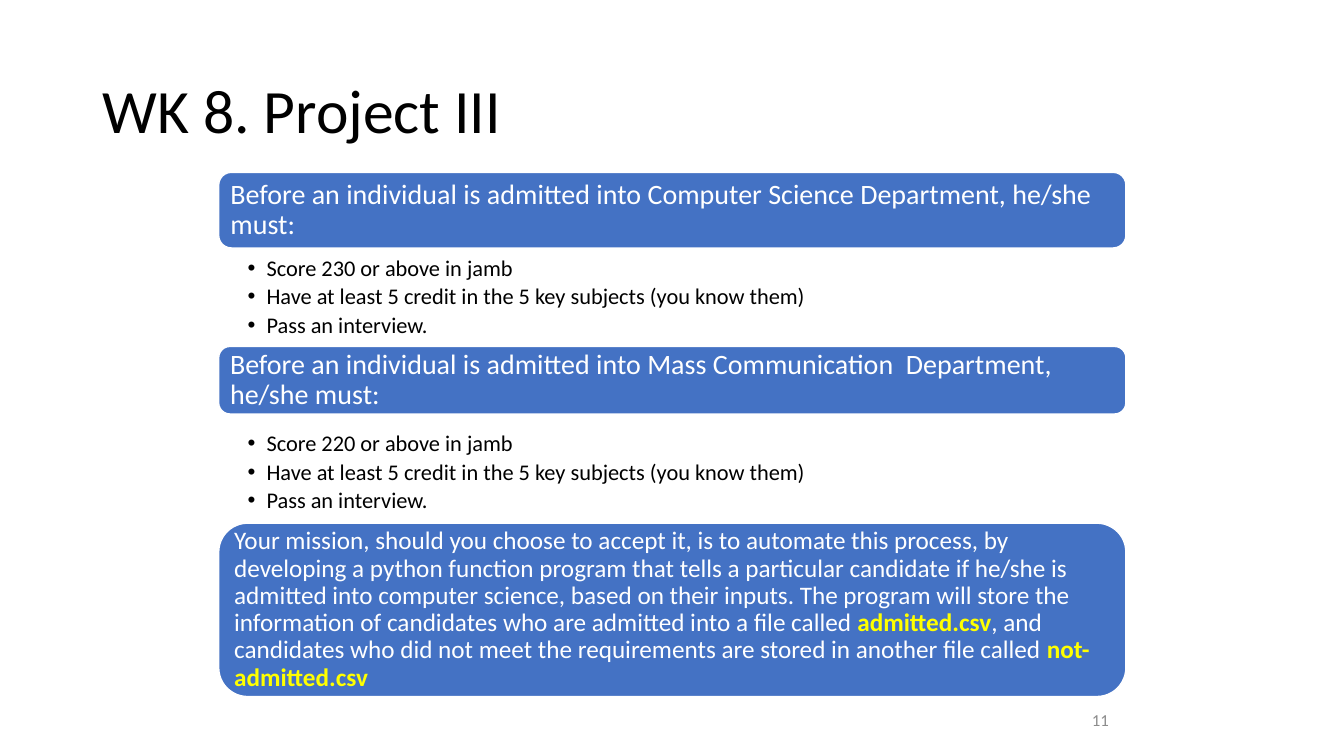
from lxml import etree
from pptx import Presentation
from pptx.dml.color import RGBColor
from pptx.enum import shapes, text
from pptx.oxml import ns
from pptx.util import Pt

TITLE = "WK 8. Project III"
PAGE_NUMBER = "11"
SHARED_RULES = ["Have at least 5 credit in the 5 key subjects (you know them)",
                "Pass an interview."]
# Each span is (words, is a file name)
MISSION = [
    ("Your mission, should you choose to accept it, is to automate this process, by "
     "developing a python function program that tells a particular candidate if he/she "
     "is admitted into computer science, based on their inputs. The program will store "
     "the information of candidates who are admitted into a file called ", False),
    ("admitted.csv", True),
    (", and candidates who did not meet the requirements are stored in another file "
     "called ", False),
    ("not-admitted.csv", True),
]
# Each department: name, pass mark, banner top and height, rules top
DEPARTMENTS = [
    ("Computer Science Department", 230, 123.12, 54, 182.16),
    ("Mass Communication  Department", 220, 247.5, 48.24, 307.44),
]
COLORS = {"black": "000000", "white": "FFFFFF", "blue": "4472C4",
          "yellow": "FFFF00", "gray": "8C8C8C"}
FONT = "Calibri"
LEFT, WIDTH = 156.24, 648
RULES_HEIGHT = 64.8
BULLET_INDENT = 13.5


def color(name):
    """Return the named colour."""
    return RGBColor.from_string(COLORS[name])


def set_frame(frame, insets, anchor):
    """Wrap a text frame and set its insets (left, top, right, bottom) and anchor."""
    frame.word_wrap = True
    frame.auto_size = text.MSO_AUTO_SIZE.NONE
    frame.vertical_anchor = anchor
    (frame.margin_left, frame.margin_top,
     frame.margin_right, frame.margin_bottom) = map(Pt, insets)


def style(para, size, shade, align=text.PP_ALIGN.LEFT):
    """Set the font, colour, line spacing and alignment of a paragraph."""
    para.alignment = align
    para.line_spacing = 0.9
    para.font.name = FONT
    para.font.size = Pt(size)
    para.font.color.rgb = color(shade)


def add_banner(page, top, height, spans, size, inset):
    """Add a rounded blue banner that holds one paragraph of spans."""
    banner = page.shapes.add_shape(shapes.MSO_SHAPE.ROUNDED_RECTANGLE,
                                   Pt(LEFT), Pt(top), Pt(WIDTH), Pt(height))
    banner.shadow.inherit = False
    banner.fill.solid()
    banner.fill.fore_color.rgb = color("blue")
    banner.line.color.rgb = color("white")
    banner.line.width = Pt(1)
    set_frame(banner.text_frame, [inset] * 4, text.MSO_ANCHOR.MIDDLE)
    para = banner.text_frame.paragraphs[0]
    style(para, size, "white")
    for words, is_file in spans:
        span = para.add_run()
        span.text = words
        if is_file:
            span.font.bold = True
            span.font.color.rgb = color("yellow")


def add_rules(page, top, rules):
    """Add a bulleted list of admission rules."""
    box = page.shapes.add_textbox(Pt(LEFT), Pt(top), Pt(WIDTH), Pt(RULES_HEIGHT))
    frame = box.text_frame
    set_frame(frame, (20.7, 1.6, 8.6, 1.6), text.MSO_ANCHOR.TOP)
    frame.text = "\n".join(rules)
    for para in frame.paragraphs:
        style(para, 16, "black")
        para.space_after = Pt(3)
        props = para._p.get_or_add_pPr()
        props.set("marL", str(Pt(BULLET_INDENT)))
        props.set("indent", str(-Pt(BULLET_INDENT)))
        font = etree.Element(ns.qn("a:buFont"), typeface="Arial")
        bullet = etree.Element(ns.qn("a:buChar"), char="•")
        defaults = props.find(ns.qn("a:defRPr"))
        defaults.addprevious(font)
        defaults.addprevious(bullet)


deck = Presentation()
deck.slide_width, deck.slide_height = Pt(960), Pt(540)
page = deck.slides.add_slide(deck.slide_layouts.get_by_name("Title Only"))

title = page.shapes.title
title.left, title.top, title.width, title.height = Pt(66), Pt(28.8), Pt(828), Pt(104.4)
title.text_frame.text = TITLE
set_frame(title.text_frame, (7.2, 3.6, 7.2, 3.6), text.MSO_ANCHOR.MIDDLE)
style(title.text_frame.paragraphs[0], 44, "black")

for name, mark, banner_top, banner_height, rules_top in DEPARTMENTS:
    heading = f"Before an individual is admitted into {name}, he/she must:"
    add_banner(page, banner_top, banner_height, [(heading, False)], 20, 5.76)
    add_rules(page, rules_top, [f"Score {mark} or above in jamb", *SHARED_RULES])
add_banner(page, 373.68, 123.84, MISSION, 18, 5)

number = page.shapes.add_textbox(Pt(678), Pt(500.5), Pt(216), Pt(28.8))
number.text_frame.text = PAGE_NUMBER
set_frame(number.text_frame, (7.2, 3.6, 7.2, 3.6), text.MSO_ANCHOR.MIDDLE)
style(number.text_frame.paragraphs[0], 12, "gray", text.PP_ALIGN.CENTER)

deck.save("out.pptx")
